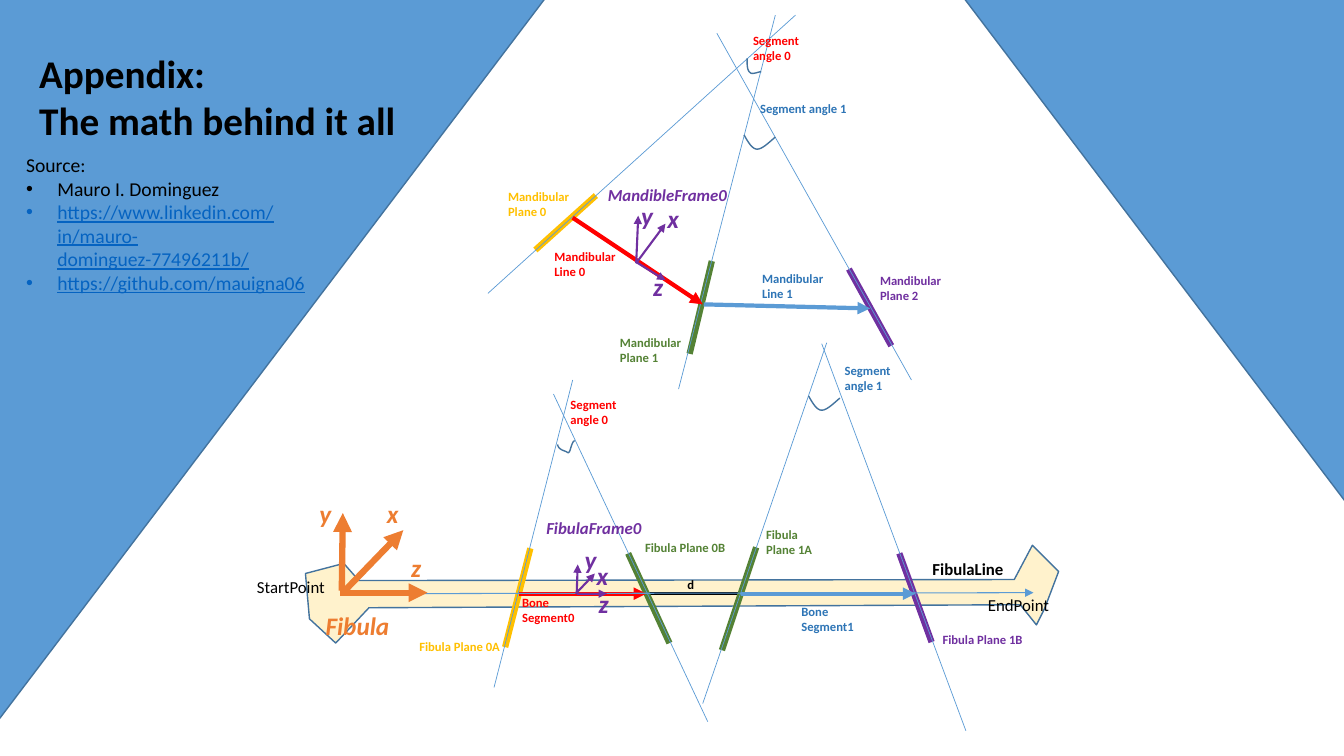
from lxml import etree
from pptx import Presentation
from pptx.dml.color import RGBColor
from pptx.enum.shapes import MSO_CONNECTOR, MSO_SHAPE
from pptx.enum.text import MSO_AUTO_SIZE
from pptx.oxml.ns import qn
from pptx.util import Inches, Pt

STRAIGHT, TRIANGLE = MSO_CONNECTOR.STRAIGHT, MSO_SHAPE.ISOSCELES_TRIANGLE
FIT_SHAPE = MSO_AUTO_SIZE.SHAPE_TO_FIT_TEXT
WIDTH, HEIGHT = 13.33, 7.5
FONT = "Calibri"
BLACK, WHITE, CREAM, OUTLINE = "000000", "FFFFFF", "FFF2CC", "43739E"
RED, YELLOW, GREEN, PURPLE, ORANGE = "FF0000", "FFC000", "548235", "7030A0", "ED7D31"
SKY, BLUE, LINK = "5B9BD5", "2E75B6", "0563C1"

TITLE = ["Appendix:", "The math behind it all"]
SOURCES = [
    ("Mauro I. Dominguez", False),
    ("https://www.linkedin.com/in/mauro-dominguez-77496211b/", True),
    ("https://github.com/mauigna06", True),
]

SHAFT = 5.89  # height of the line through the fibula
BONE = [(3.56, 5.76), (3.41, 5.59), (3.03, 5.69), (3.07, 6.14), (3.33, 6.38), (3.66, 6.03),
        (10.12, 6), (10.28, 6.2), (10.36, 6.04), (10.5, 5.67), (10.24, 5.41), (10.06, 5.75)]

# start, end, colour
PLANES = [
    ((5.91, 1.94), (5.31, 2.48), YELLOW),
    ((7.06, 2.59), (6.84, 3.51), GREEN),
    ((8.42, 2.67), (8.84, 3.43), PURPLE),
    ((5.26, 5.44), (5.01, 6.42), YELLOW),
    ((6.23, 5.49), (6.64, 6.38), GREEN),
    ((7.5, 5.43), (7.16, 6.45), GREEN),
    ((8.92, 5.49), (9.24, 6.37), PURPLE),
]
EXTENSIONS = [
    ((4.84, 2.91), (7.89, 0.15)), ((6.73, 3.86), (7.69, 0.15)), ((9.04, 3.77), (7.11, 0.33)),
    ((4.9, 6.82), (5.68, 3.77)), ((7.02, 7.16), (5.49, 3.91)),
    ((6.97, 6.98), (8.2, 3.4)), ((9.58, 7.25), (8.15, 3.41)),
]
SEGMENTS = [
    ((5.68, 2.16), (6.97, 3.02), RED),
    ((6.98, 3.02), (8.63, 3.06), SKY),
    ((5.15, SHAFT), (6.41, SHAFT), RED),
    ((7.35, SHAFT), (9.08, SHAFT), SKY),
]
# Each arc is two cubic curves: a start, then two controls and an end for each
WIDE_ARC = [(0, 0), (0.04, 0.07), (0.08, 0.14), (0.13, 0.14),
            (0.18, 0.14), (0.24, 0.08), (0.31, 0.02)]
ARCS = [
    (7.41, 0.58, [(0, 0), (0, 0.06), (0, 0.12), (0.03, 0.14),
                  (0.05, 0.16), (0.09, 0.14), (0.14, 0.13)]),
    (7.38, 1.34, WIDE_ARC),
    (5.53, 4.41, [(0, 0), (0.01, 0.06), (0.08, 0.06), (0.1, 0.08),
                  (0.13, 0.1), (0.13, -0.02), (0.17, -0.04)]),
    (8.02, 3.93, WIDE_ARC),
]
# colour, line width, then axis letter: start, arrow tip, left and top of the letter
FRAMES = [
    (ORANGE, 4.5, {"y": ((3.39, 5.86), (3.4, 5.09), (3.07, 4.89)),
                   "z": ((3.37, 5.88), (4.24, 5.88), (3.98, 5.43)),
                   "x": ((3.4, 5.88), (4, 5.26), (3.74, 4.89))}),
    (PURPLE, 1.5, {"z": ((6.31, 2.6), (6.6, 2.78), (6.38, 2.64)),
                   "y": ((6.31, 2.61), (6.33, 2.14), (6.26, 1.94)),
                   "x": ((6.31, 2.61), (6.6, 2.22), (6.52, 1.97))}),
    (PURPLE, 1.5, {"z": ((5.72, SHAFT), (6.02, SHAFT), (5.84, 5.79)),
                   "y": ((5.72, SHAFT), (5.73, 5.6), (5.7, 5.35)),
                   "x": ((5.71, SHAFT), (5.9, 5.69), (5.82, 5.51))}),
]
# text, left, top, width, colour
SMALL_LABELS = [
    ("Mandibular\nPlane 0", 4.94, 1.82, 1.01, YELLOW),
    ("Mandibular\nLine 0", 5.4, 2.42, 0.98, RED),
    ("Mandibular\nPlane 1", 6.05, 3.27, 0.91, GREEN),
    ("Mandibular\nLine 1", 7.46, 2.64, 0.95, BLUE),
    ("Mandibular\nPlane 2", 8.63, 2.66, 0.96, PURPLE),
    ("Segment angle 0", 7.37, 0.28, 0.91, RED),
    ("Segment angle 1", 7.44, 0.95, 1.13, BLUE),
    ("Fibula Plane 0A", 4.06, 6.29, 1.12, YELLOW),
    ("Bone Segment0", 5.08, 5.85, 0.99, RED),
    ("Fibula Plane 0B", 6.3, 5.31, 1.03, GREEN),
    ("Bone Segment1", 7.85, 5.94, 0.81, BLUE),
    ("Fibula Plane 1B", 9.25, 6.22, 1.08, PURPLE),
    ("Fibula Plane 1A", 7.5, 5.18, 0.81, GREEN),
    ("Segment angle 0", 5.56, 3.89, 0.91, RED),
    ("Segment\nangle 1", 8.28, 3.55, 1.04, BLUE),
    ("d", 6.72, 5.67, 0.82, BLACK),
]
# text, left, top, width, format
LARGE_LABELS = [
    ("Fibula", 3.13, 6.01, 0.98, dict(size=18, color=ORANGE, bold=True, italic=True)),
    ("MandibleFrame0", 5.93, 1.78, 1.76, dict(size=12, color=PURPLE, bold=True, italic=True)),
    ("FibulaFrame0", 5.32, 5.09, 1.2, dict(size=12, color=PURPLE, bold=True, italic=True)),
    ("FibulaLine", 9.15, 5.49, 1.89, dict(size=12, bold=True)),
    ("EndPoint", 9.7, 5.85, 1.89, dict(size=12)),
    ("StartPoint", 2.45, 5.67, 1.04, dict(size=12)),
]


def rgb(value):
    return RGBColor.from_string(value)


def style_shape(shape, fill=None):
    shape.shadow.inherit = False
    if fill:
        shape.fill.solid()
        shape.fill.fore_color.rgb = rgb(fill)
    else:
        shape.fill.background()
    shape.line.color.rgb = rgb(OUTLINE)
    shape.line.width = Pt(1)


def add_outline(slide, points, closed=False, fill=None):
    corners = [(Inches(x), Inches(y)) for x, y in points]
    builder = slide.shapes.build_freeform(*corners[0])
    builder.add_line_segments(corners[1:], close=closed)
    style_shape(builder.convert_to_shape(), fill)


def curve_points(controls, steps=8):
    """Sample a chain of cubic curves."""
    points = [controls[0]]
    for first in range(0, len(controls) - 1, 3):
        curve = controls[first:first + 4]
        for step in range(1, steps + 1):
            t = step / steps
            weights = ((1 - t) ** 3, 3 * t * (1 - t) ** 2, 3 * t * t * (1 - t), t ** 3)
            points.append(tuple(sum(w * p[axis] for w, p in zip(weights, curve))
                                for axis in (0, 1)))
    return points


def add_line(slide, start, end, color, width, arrow=False):
    line = slide.shapes.add_connector(STRAIGHT, *(Inches(value) for value in (*start, *end)))
    line.line.color.rgb = rgb(color)
    line.line.width = Pt(width)
    if arrow:
        etree.SubElement(line.line._get_or_add_ln(), qn("a:tailEnd"), type="triangle")
    etree.SubElement(line._element.spPr, qn("a:effectLst"))


def write_text(paragraph, text, size=9, color=BLACK, bold=False, italic=False, underline=False):
    run = paragraph.add_run()
    run.text = text
    font = run.font
    font.name, font.size, font.color.rgb = FONT, Pt(size), rgb(color)
    font.bold, font.italic, font.underline = bold, italic, underline


def add_text(slide, text, left, top, width, size=9, **text_format):
    lines = text.split("\n")
    height = len(lines) * size * 1.2 / 72 + 0.1
    box = slide.shapes.add_textbox(Inches(left), Inches(top), Inches(width), Inches(height))
    frame = box.text_frame
    frame.word_wrap = True
    frame.auto_size = FIT_SHAPE
    for index, line in enumerate(lines):
        paragraph = frame.add_paragraph() if index else frame.paragraphs[0]
        write_text(paragraph, line, size=size, **text_format)
    return frame


def add_bullet(paragraph, color):
    properties = paragraph._p.get_or_add_pPr()
    indent = Inches(0.31)
    properties.set("marL", str(indent))
    properties.set("indent", str(-indent))
    bullet_color = etree.SubElement(properties, qn("a:buClr"))
    etree.SubElement(bullet_color, qn("a:srgbClr"), val=color)
    etree.SubElement(properties, qn("a:buFont"), typeface="Arial")
    etree.SubElement(properties, qn("a:buChar"), char="•")


def main():
    presentation = Presentation()
    presentation.slide_width, presentation.slide_height = Inches(WIDTH), Inches(HEIGHT)
    slide = presentation.slides.add_slide(presentation.slide_layouts[6])
    slide.background.fill.solid()
    slide.background.fill.fore_color.rgb = rgb(SKY)

    backdrop = (-0.52, -2.76, 16.01, 10.57)
    style_shape(slide.shapes.add_shape(TRIANGLE, *map(Inches, backdrop)), WHITE)
    add_outline(slide, BONE, closed=True, fill=CREAM)
    add_line(slide, (6.41, SHAFT), (7.35, SHAFT), BLACK, 2.25)
    for start, end, color in PLANES:
        add_line(slide, start, end, color, 4.5)
    for start, end in EXTENSIONS:
        add_line(slide, start, end, SKY, 0.5)
    for left, top, controls in ARCS:
        add_outline(slide, [(left + x, top + y) for x, y in curve_points(controls)])
    for start, end, color in SEGMENTS:
        add_line(slide, start, end, color, 3, arrow=True)
    add_line(slide, (3.38, SHAFT), (10.25, 5.88), SKY, 0.75, arrow=True)
    for color, width, axes in FRAMES:
        for letter, (start, tip, corner) in axes.items():
            add_line(slide, start, tip, color, width, arrow=True)
            add_text(slide, letter, *corner, 0.3, size=18, color=color, bold=True, italic=True)

    for text, left, top, width, color in SMALL_LABELS:
        add_text(slide, text, left, top, width, color=color, bold=True)
    for text, left, top, width, text_format in LARGE_LABELS:
        add_text(slide, text, left, top, width, **text_format)
    add_text(slide, "\n".join(TITLE), 0.29, 0.44, 4.03, size=28, bold=True)
    source_frame = add_text(slide, "Source:", 0.16, 1.47, 2.99, size=14)
    for text, is_link in SOURCES:
        paragraph = source_frame.add_paragraph()
        color = LINK if is_link else BLACK
        add_bullet(paragraph, color)
        write_text(paragraph, text, size=14, color=color, underline=is_link)
    presentation.save("out.pptx")


if __name__ == "__main__":
    main()
